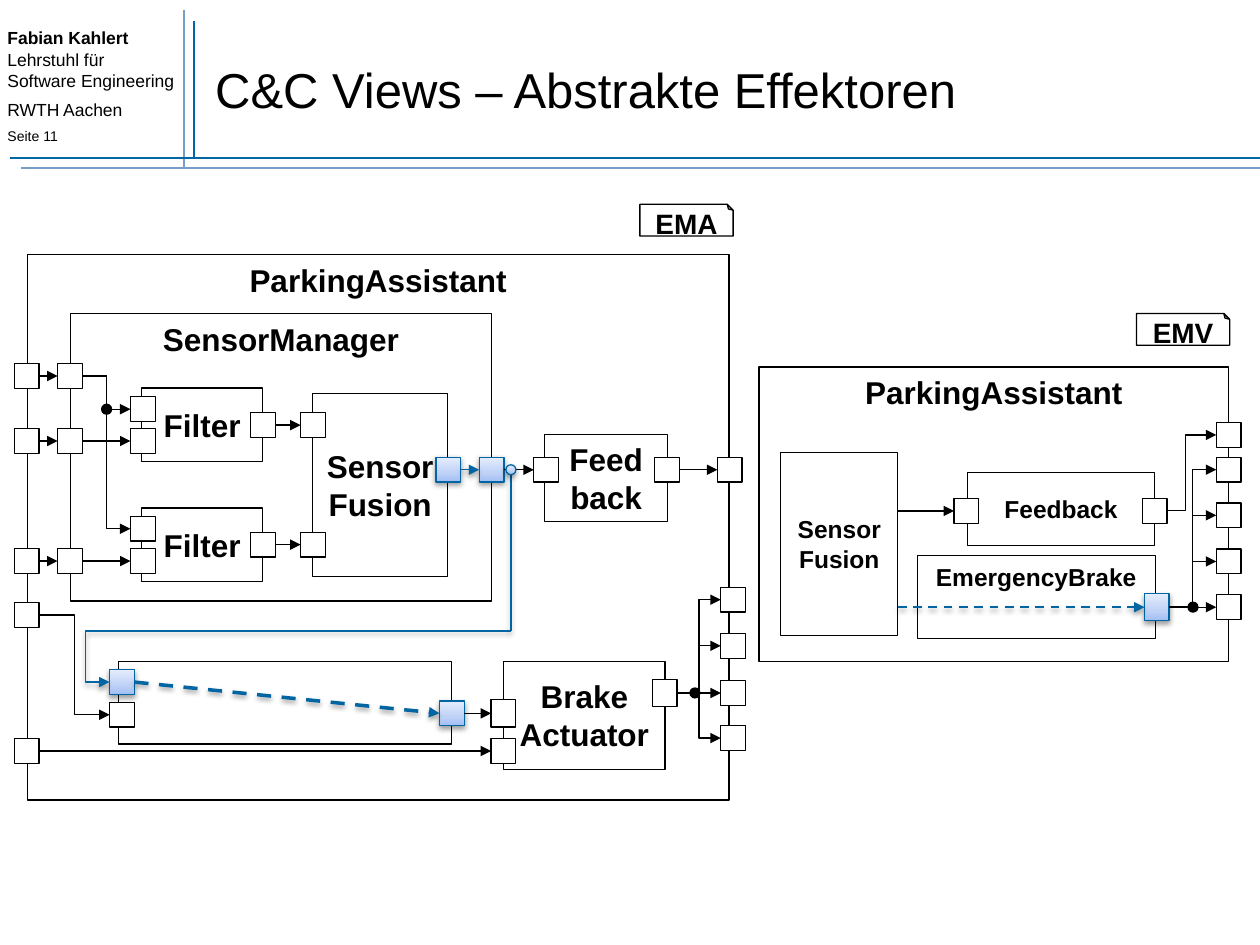
from typing import NamedTuple

from lxml import etree
from pptx import Presentation
from pptx.dml.color import RGBColor
from pptx.enum.dml import MSO_LINE_DASH_STYLE as Dash
from pptx.enum.shapes import MSO_CONNECTOR as Line, MSO_SHAPE as Preset
from pptx.enum.text import MSO_ANCHOR as Anchor, PP_ALIGN as Align
from pptx.oxml import parse_xml
from pptx.oxml.ns import nsdecls, qn
from pptx.util import Cm, Pt

BLACK, WHITE, BLUE = "000000", "FFFFFF", "0065A2"
PORT, DOT = 0.5, 0.2
NS = nsdecls("a")
STOPS = "".join(f'<a:gs pos="{pos}"><a:srgbClr val="{tone}"/></a:gs>'
                for pos, tone in ((0, "A1BEF4"), (35000, "BED1F6"), (100000, "E5EDFD")))
GRADIENT = f'<a:gradFill {NS}><a:gsLst>{STOPS}</a:gsLst><a:lin ang="16200000" scaled="1"/></a:gradFill>'
SHADOW = (f'<a:effectLst {NS}><a:outerShdw blurRad="39370" dist="20320" dir="5400000" rotWithShape="0">'
          '<a:srgbClr val="000000"><a:alpha val="38000"/></a:srgbClr></a:outerShdw></a:effectLst>')


class Box(NamedTuple):
    x: float
    y: float
    w: float
    h: float
    label: str = ""
    size: int = 18
    anchor: Anchor = Anchor.MIDDLE


class Port(NamedTuple):
    x: float
    y: float
    abstract: bool = False
    h: float = PORT


class Link(NamedTuple):
    start: str
    end: str
    bend: float | None = None
    color: str = BLACK
    width: float = 0.75
    dashed: bool = False


def port_column(name: str, x: float, *ys: float) -> dict[str, Port]:
    return {f"{name}{i}": Port(x, y) for i, y in enumerate(ys, 1)}


BOXES = [
    Box(0.55, 5.13, 14.15, 11, "ParkingAssistant", anchor=Anchor.TOP),
    Box(1.42, 6.32, 8.49, 5.8, "SensorManager", anchor=Anchor.TOP),
    Box(2.85, 7.82, 2.45, 1.48, "Filter"), Box(2.85, 10.24, 2.45, 1.48, "Filter"),
    Box(6.3, 7.93, 2.73, 3.69, "Sensor\vFusion"), Box(2.39, 13.33, 6.72, 1.67),
    Box(10.15, 13.33, 3.26, 2.18, "Brake\vActuator"), Box(10.98, 8.76, 2.48, 1.75, "Feed\nback"),
    Box(15.3, 7.4, 9.47, 5.93, "ParkingAssistant", anchor=Anchor.TOP),
    Box(15.74, 9.12, 2.36, 3.69, "Sensor\nFusion", 14),
    Box(18.49, 11.2, 4.8, 1.67, "EmergencyBrake", 14, Anchor.TOP),
    Box(19.5, 9.52, 3.78, 1.48, "Feedback", 14),
]
TAGS = [Box(12.9, 4.12, 1.88, 0.64, "EMA", 16), Box(22.91, 6.32, 1.88, 0.64, "EMV", 16)]
PORTS = {
    **port_column("in", 0.54, 7.58, 8.89, 11.31, 12.4, 15.14),
    **port_column("manager in", 1.41, 7.58, 8.89, 11.31),
    **port_column("filter in", 2.88, 8.25, 8.89, 10.66, 11.31),
    **port_column("filter out", 5.3, 8.57, 10.98), **port_column("fusion in", 6.31, 8.57, 10.98),
    "fusion out": Port(9.04, 9.47, True), "manager out": Port(9.91, 9.47, True),
    "feedback in": Port(11.01, 9.47), "feedback out": Port(13.45, 9.47),
    "assistant out": Port(14.71, 9.47), "emergency in1": Port(2.46, 13.75, True),
    "emergency in2": Port(2.46, 14.41), "emergency out": Port(9.11, 14.38, True),
    "brake in1": Port(10.15, 14.38, h=0.55), "brake in2": Port(10.15, 15.14),
    "brake out": Port(13.4, 13.97, h=0.55),
    **port_column("out", 14.78, 12.09, 13.02, 13.97, 14.88),
    "view feedback in": Port(19.48, 10.3), "view feedback out": Port(23.28, 10.3),
    "view brake out": Port(23.32, 12.24, True, 0.55),
    **port_column("view out", 24.77, 8.77, 9.47, 10.39, 11.32, 12.24),
}
LINKS = [
    *(Link(f"in{i}", f"manager in{i}") for i in (1, 2, 3)),
    *(Link("manager in1", f"filter in{i}", 0.5) for i in (1, 3)),
    Link("manager in2", "filter in2"), Link("manager in3", "filter in4"),
    *(Link(f"filter out{i}", f"fusion in{i}") for i in (1, 2)),
    Link("fusion out", "manager out", color=BLUE), Link("manager out", "feedback in"),
    Link("feedback out", "assistant out"), Link("in4", "emergency in2", 0.5),
    Link("in5", "brake in2"), Link("emergency out", "brake in1"),
    Link("emergency in1", "emergency out", color=BLUE, width=2, dashed=True),
    *(Link("brake out", f"out{i}", 0.5) for i in (1, 2, 4)), Link("brake out", "out3"),
    Link("view feedback out", "view out1", 0.38), Link("view brake out", "view out5"),
    *(Link("view brake out", f"view out{i}", 0.5) for i in (2, 3, 4)),
]
DOTS = [Port(2.15, 8.25), Port(14.01, 13.97), Port(24.05, 12.24), Port(10.3, 9.47, True)]


def rgb(value: str) -> RGBColor:
    return RGBColor.from_string(value)


def style_font(paragraph, size: int, bold: bool = False) -> None:
    for run in paragraph.runs:
        run.font.name, run.font.size, run.font.bold = "Arial", Pt(size), bold
        run.font.color.rgb = rgb(BLACK)


def set_guide(shape, name: str, value: float) -> None:
    guides = shape._element.spPr.find(qn("a:prstGeom")).get_or_add_avLst()
    etree.SubElement(guides, qn("a:gd"), name=name, fmla=f"val {round(value * 100000)}")


def add_outlined(slide, preset: Preset, box: Box, abstract: bool = False):
    """Add a labelled shape; abstract ones get the blue gradient and a soft shadow."""
    shape = slide.shapes.add_shape(preset, Cm(box.x), Cm(box.y), Cm(box.w), Cm(box.h))
    shape.shadow.inherit = False
    shape.line.color.rgb, shape.line.width = rgb(BLUE if abstract else BLACK), Pt(0.75)
    shape.fill.solid()
    shape.fill.fore_color.rgb = rgb(WHITE)
    if abstract:
        props = shape._element.spPr
        props.replace(props.find(qn("a:solidFill")), parse_xml(GRADIENT))
        props.replace(props.find(qn("a:effectLst")), parse_xml(SHADOW))
    if box.label:
        shape.text_frame.text, shape.text_frame.vertical_anchor = box.label, box.anchor
        for paragraph in shape.text_frame.paragraphs:
            paragraph.alignment = Align.CENTER
            style_font(paragraph, box.size, True)
    return shape


def add_centred(slide, preset: Preset, port: Port, w: float, h: float):
    return add_outlined(slide, preset, Box(port.x - w / 2, port.y - h / 2, w, h), port.abstract)


def add_tag(slide, tag: Box) -> None:
    shape = add_outlined(slide, Preset.FOLDED_CORNER, tag)
    set_guide(shape, "adj", 0.185)
    shape._element.spPr.find(qn("a:xfrm")).set("flipV", "1")
    shape.text_frame.word_wrap = False
    shape.text_frame._txBody.bodyPr.set("rot", "10800000")


def add_line(slide, ends, color: str, width: float = 0.75, bend: float | None = None,
             arrow: bool = True, dashed: bool = False):
    """Join (x1, y1, x2, y2) in cm; lines in the accent blue cast a shadow."""
    kind = Line.STRAIGHT if bend is None else Line.ELBOW
    line = slide.shapes.add_connector(kind, *map(Cm, ends))
    line.line.color.rgb, line.line.width = rgb(color), Pt(width)
    if dashed:
        line.line.dash_style = Dash.DASH
    if arrow:
        etree.SubElement(line.line._get_or_add_ln(), qn("a:tailEnd"), type="triangle")
    if bend is not None:
        set_guide(line, "adj1", bend)
    line._element.spPr.append(parse_xml(SHADOW if color == BLUE else f"<a:effectLst {NS}/>"))
    return line


def add_link(slide, link: Link, shapes: dict) -> None:
    start, end = PORTS[link.start], PORTS[link.end]
    ends = start.x + PORT / 2, start.y, end.x - PORT / 2, end.y
    line = add_line(slide, ends, link.color, link.width, link.bend, dashed=link.dashed)
    if link.bend is None:
        line.begin_connect(shapes[link.start], 3)
        line.end_connect(shapes[link.end], 1)


def add_header(slide) -> None:
    author = slide.shapes.add_textbox(Cm(-0.1), Cm(0.43), Cm(3.89), Cm(2.69)).text_frame
    author.word_wrap = True
    author.text = "Fabian Kahlert\vLehrstuhl für Software Engineering\nRWTH Aachen\nSeite 11"
    for paragraph, size, gap in zip(author.paragraphs, (10, 10, 8), (0, 5, 4)):
        style_font(paragraph, size)
        paragraph.space_before = Pt(gap)
    author.paragraphs[0].runs[0].font.bold = True
    for ends, color in (((3.91, 3.18, 3.91, 0.43), "0067A6"), ((3.71, 3.38, 3.71, 0.2), "779EC9"),
                        ((0.2, 3.18, 25.4, 3.18), "0067A6"), ((0.43, 3.38, 25.4, 3.38), "779EC9")):
        add_line(slide, ends, color, 1, arrow=False)
    title = slide.shapes.add_textbox(Cm(4.09), Cm(0.63), Cm(21.01), Cm(2.34)).text_frame
    title.word_wrap, title.vertical_anchor = True, Anchor.MIDDLE
    title.text = "C&C Views – Abstrakte Effektoren"
    style_font(title.paragraphs[0], 28)


deck = Presentation()
deck.slide_width, deck.slide_height = Cm(25.4), Cm(19.05)
slide = deck.slides.add_slide(deck.slide_layouts[6])
add_header(slide)
for box in BOXES:
    add_outlined(slide, Preset.RECTANGLE, box)
for tag in TAGS:
    add_tag(slide, tag)
shapes = {name: add_centred(slide, Preset.RECTANGLE, port, PORT, port.h) for name, port in PORTS.items()}
for link in LINKS:
    add_link(slide, link, shapes)
add_line(slide, (10.3, 9.47, 10.3, 12.72), BLUE, arrow=False)
add_line(slide, (10.3, 12.72, 2.21, 13.75), BLUE, bend=1.06)
add_line(slide, (18.1, 10.3, 19.23, 10.3), BLACK)
add_line(slide, (18.1, 12.24, 23.07, 12.24), BLUE, 1.25, dashed=True)
for dot in DOTS:
    circle = add_centred(slide, Preset.OVAL, dot, DOT, DOT)
    if not dot.abstract:
        circle.fill.fore_color.rgb = rgb(BLACK)
deck.save("out.pptx")
